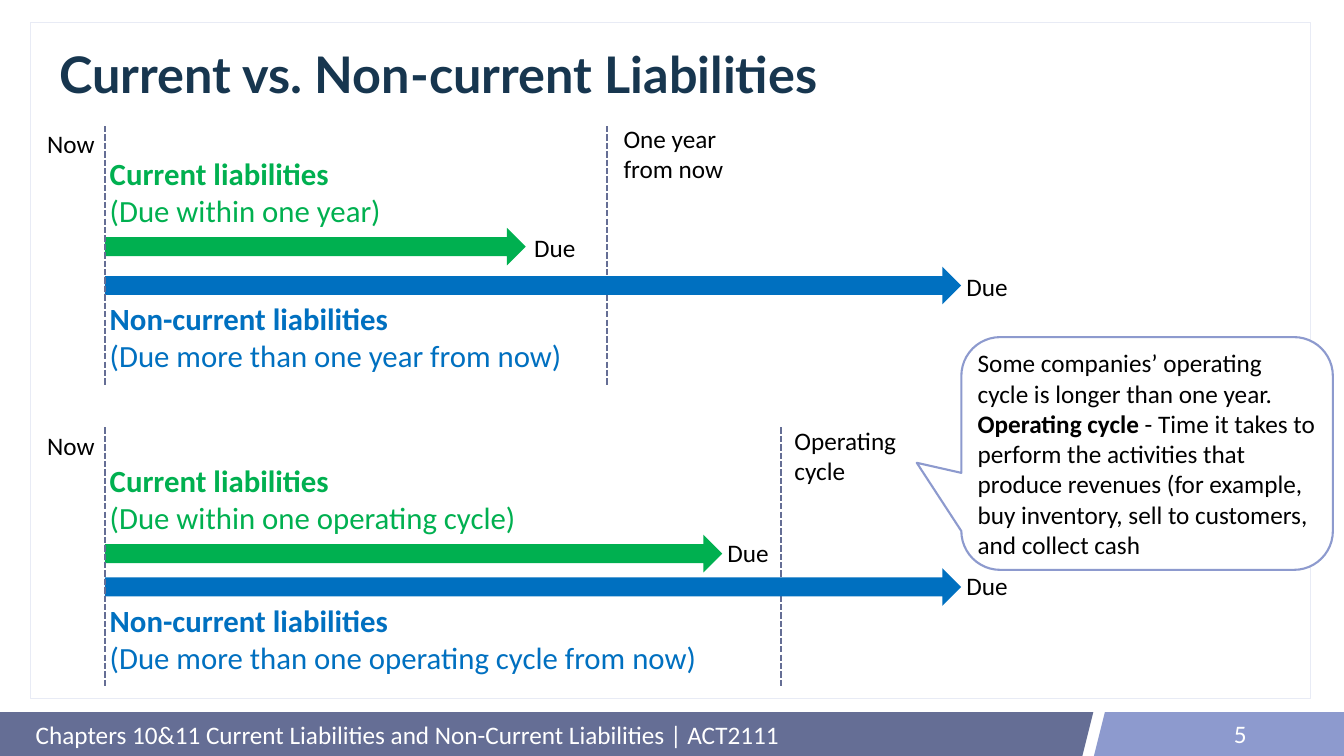
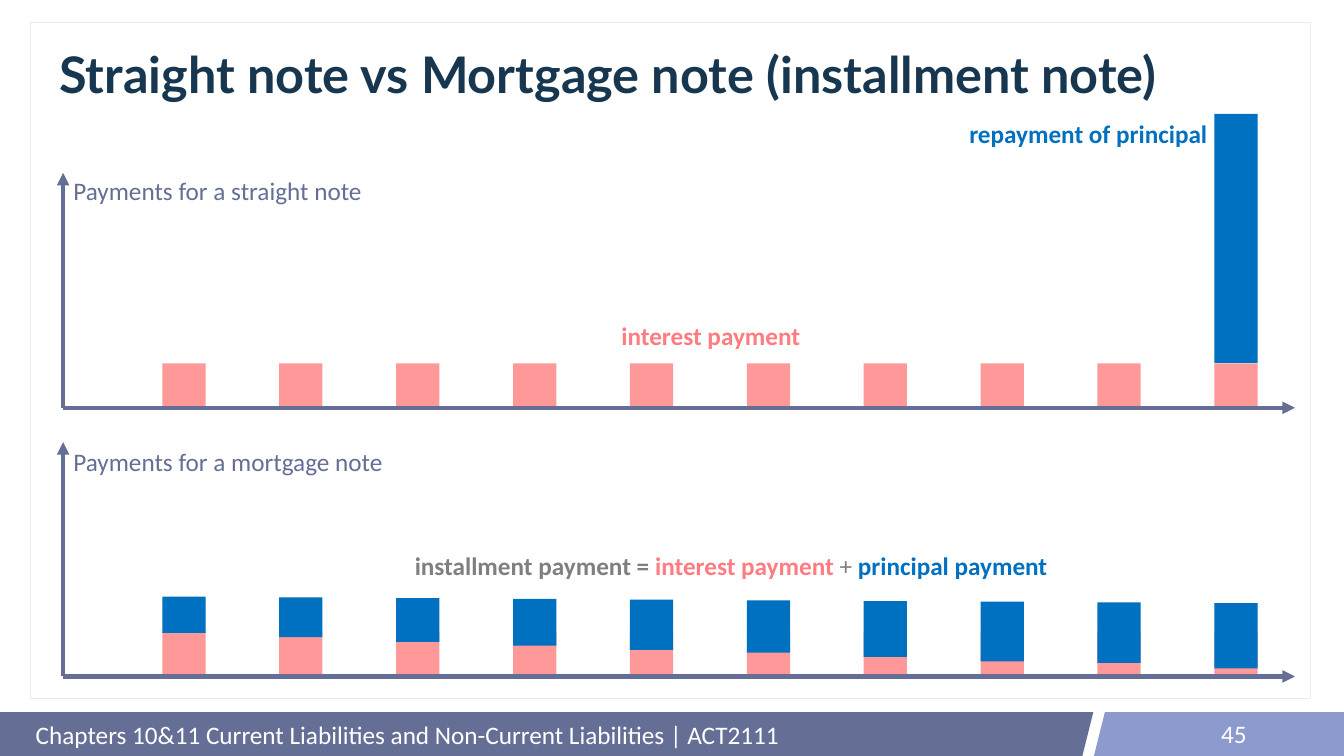
from lxml import etree
from pptx import Presentation
from pptx.dml.color import RGBColor
from pptx.enum.dml import MSO_LINE
from pptx.enum.shapes import MSO_CONNECTOR, MSO_SHAPE as Shape
from pptx.enum.text import MSO_ANCHOR as Anchor, MSO_AUTO_SIZE as AutoSize, PP_ALIGN as Align
from pptx.oxml.ns import qn
from pptx.util import Cm, Pt

COLORS = {
    "white": "FFFFFF", "black": "000000", "navy": "17364F",
    "slate": "656E95", "periwinkle": "8D9ACE", "frame": "E8EBF5",
    "green": "00B050", "blue": "0070C0", "grey": "7F7F7F",
    "pink": "FF9999", "rose": "FF7C80",
}
FOOTER = "Chapters 10&11 Current Liabilities and Non-Current Liabilities | ACT2111"


def rgb(name):
    return RGBColor.from_string(COLORS[name])


class Deck:
    """Holds the style and the slide being filled; lengths are in cm."""

    def __init__(self, width, height):
        self.prs = Presentation()
        self.prs.slide_width, self.prs.slide_height = Cm(width), Cm(height)
        self.slide = None

    def start_slide(self, heading, number):
        self.slide = self.prs.slides.add_slide(self.prs.slide_layouts[5])
        # Footer band and frame
        for kind, left, width, color in (
            (Shape.RECTANGLE, 0, 50.67, "slate"),
            (Shape.PARALLELOGRAM, 44.17, 10.92, "slate"),
            (Shape.PARALLELOGRAM, 55.12, 10.92, "periwinkle"),
            (Shape.RECTANGLE, 56.82, 10.9, "periwinkle"),
        ):
            self.shape(kind, left, 35.89, width, 2.21, color)
        frame = self.shape(Shape.RECTANGLE, 1.55, 1.12, 64.49, 34.06, "white", "frame", 1)
        fill_color = frame.element.spPr.find(qn("a:solidFill"))[0]
        etree.SubElement(fill_color, qn("a:alpha")).set("val", "85000")
        # Footer wording
        self.text(1.55, 35.94, 52.32, 2.16, [[(FOOTER, "white", False)]],
                  wrap=True, anchor=Anchor.MIDDLE)
        self.text(47.83, 35.94, 15.24, 2.03, [[(str(number), "white", False)]],
                  wrap=True, anchor=Anchor.MIDDLE, align=Align.RIGHT)
        # Title, brought in front of the frame
        title = self.slide.shapes.title
        title.element.getparent().append(title.element)
        title.left, title.top, title.width, title.height = map(Cm, (2.74, 2.03, 61.95, 3.68))
        self.fill_text(title.text_frame, [[(heading, "navy", True)]], size=72, font="Lato",
                       wrap=True, anchor=Anchor.MIDDLE)
        title.text_frame.paragraphs[0].line_spacing = 0.9

    def shape(self, kind, left, top, width, height, color, line=None, line_width=0):
        shape = self.slide.shapes.add_shape(kind, Cm(left), Cm(top), Cm(width), Cm(height))
        shape.shadow.inherit = False
        shape.fill.solid()
        shape.fill.fore_color.rgb = rgb(color)
        if line:
            shape.line.color.rgb = rgb(line)
            shape.line.width = Pt(line_width)
        else:
            shape.line.fill.background()
        return shape

    def line(self, x1, y1, x2, y2, width, dashed=False, arrow=False):
        line = self.slide.shapes.add_connector(
            MSO_CONNECTOR.STRAIGHT, Cm(x1), Cm(y1), Cm(x2), Cm(y2))
        line.line.color.rgb = rgb("slate")
        line.line.width = Pt(width)
        if dashed:
            line.line.dash_style = MSO_LINE.SQUARE_DOT
        properties = line.element.spPr
        if arrow:
            etree.SubElement(properties.find(qn("a:ln")), qn("a:tailEnd")).set("type", "triangle")
        etree.SubElement(properties, qn("a:effectLst"))

    def text(self, left, top, width, height, paragraphs, **style):
        box = self.slide.shapes.add_textbox(Cm(left), Cm(top), Cm(width), Cm(height))
        self.fill_text(box.text_frame, paragraphs, **style)
        return box.text_frame

    def label(self, left, top, width, words, color="black", bold=False):
        self.text(left, top, width, 1.8, [[(words, color, bold)]])

    def fill_text(self, frame, paragraphs, size=36, font="Calibri", wrap=False,
                  anchor=Anchor.TOP, align=Align.LEFT):
        """Each paragraph is a list of runs: (words, colour, bold)."""
        frame.word_wrap = wrap
        frame.auto_size = AutoSize.NONE
        frame.vertical_anchor = anchor
        for index, runs in enumerate(paragraphs):
            paragraph = frame.add_paragraph() if index else frame.paragraphs[0]
            paragraph.alignment = align
            for words, color, bold in runs:
                run = paragraph.add_run()
                run.text = words
                run.font.name, run.font.size, run.font.bold = font, Pt(size), bold
                run.font.color.rgb = rgb(color)


NOW_X, TIMELINE_HEIGHT = 5.28, 13.03


def add_timeline(deck, top, limit_x, limit, limit_label_x, liabilities):
    """Dashed limits with one arrow per class of liability."""
    bottom = top + TIMELINE_HEIGHT
    deck.line(limit_x, top, limit_x, bottom, 3, dashed=True)
    deck.text(limit_label_x, top - 0.25, 5.69, 3.33,
              [[(words, "black", False)] for words in limit])
    for name, due, color, text_top, text_width, arrow_top, length, due_x, due_top in liabilities:
        deck.text(NOW_X, text_top, text_width, 4.01,
                  [[(name, color, True)], [(due, color, False)]], size=44)
        deck.shape(Shape.RIGHT_ARROW, NOW_X, arrow_top, length, 1.9, color)
        deck.label(due_x, due_top, 2.92, "Due")
    deck.line(NOW_X, top, NOW_X, bottom, 3, dashed=True)
    deck.label(2.13, top, 2.92, "Now")


def build_liabilities(deck):
    deck.start_slide("Current vs. Non-current Liabilities", 5)
    current, non_current = "Current liabilities", "Non-current liabilities"
    add_timeline(deck, 6.35, 30.58, ("One year", "from now"), 31.17, (
        (current, "(Due within one year)", "green",
         7.67, 14.33, 11.48, 21.21, 26.67, 11.56),
        (non_current, "(Due more than one year from now)", "blue",
         14.99, 23.52, 13.44, 43.15, 48.44, 13.54),
    ))
    add_timeline(deck, 21.54, 39.34, ("Operating", "cycle"), 39.78, (
        (current, "(Due within one operating cycle)", "green",
         23.14, 21.21, 26.95, 31.11, 36.4, 26.97),
        (non_current, "(Due more than one operating cycle from now)", "blue",
         30.18, 30.4, 28.63, 43.15, 48.44, 28.63),
    ))
    # Explanation of the operating cycle
    callout = deck.shape(Shape.ROUNDED_RECTANGULAR_CALLOUT, 48.44, 16.99, 18.72, 11.73,
                         "white", "periwinkle", 3)
    callout.adjustments[0], callout.adjustments[1] = -0.62, 0.04
    deck.fill_text(callout.text_frame, [
        [("Some companies’ operating cycle is longer than one year.", "black", False)],
        [("Operating cycle ", "black", True),
         ("- Time it takes to perform the activities that produce revenues (for example, "
          "buy inventory, sell to customers, and collect cash", "black", False)],
    ], wrap=True, anchor=Anchor.MIDDLE)


PERIODS, FIRST_BAR, BAR_STEP = 10, 8.18, 5.89
BAR_WIDTH, INTEREST_HEIGHT = 2.18, 2.24
PRINCIPAL_HEIGHTS = (1.83, 2.01, 2.21, 2.36, 2.54, 2.64, 2.82, 3, 3.05, 3.28)


def add_bar(deck, period, top, height, color):
    deck.shape(Shape.RECTANGLE, FIRST_BAR + period * BAR_STEP, top, BAR_WIDTH, height, color)


def add_payment_axes(deck, top, baseline, label_top, words):
    """Interest bars standing on a pair of axes."""
    for period in range(PERIODS):
        add_bar(deck, period, baseline - INTEREST_HEIGHT, INTEREST_HEIGHT, "pink")
    deck.line(3.18, baseline, 3.18, top, 6, arrow=True)
    deck.line(3.18, baseline, 65.25, baseline, 6, arrow=True)
    deck.label(3.45, label_top, 16.23, words, "slate")


def build_notes(deck):
    deck.start_slide("Straight note vs Mortgage note (installment note)", 45)
    # Straight note: the principal is repaid at the end
    add_payment_axes(deck, 8.71, 20.55, 8.71, "Payments for a straight note")
    add_bar(deck, PERIODS - 1, 5.74, 12.55, "blue")
    deck.label(48.59, 5.84, 12.57, "repayment of principal", "blue", True)
    deck.label(31.06, 16.03, 9.63, "interest payment", "rose", True)
    # Mortgage note: the principal share grows each period
    add_payment_axes(deck, 22.28, 34.09, 22.35, "Payments for a mortgage note")
    for period, height in enumerate(PRINCIPAL_HEIGHTS):
        add_bar(deck, period, 30.07 + 0.33 * period / (PERIODS - 1), height, "blue")
    formula = deck.text(18.11, 27.61, 35.28, 1.8, [[
        ("installment payment = ", "grey", True), ("interest payment", "rose", True),
        (" + ", "grey", False), ("principal payment", "blue", True)]]).paragraphs[0]
    formula.level = 1
    indent = formula._p.get_or_add_pPr()
    indent.set("marL", str(Cm(2.54)))
    indent.set("indent", "0")


def main():
    deck = Deck(67.72, 38.1)
    build_liabilities(deck)
    build_notes(deck)
    deck.prs.save("out.pptx")


if __name__ == "__main__":
    main()
